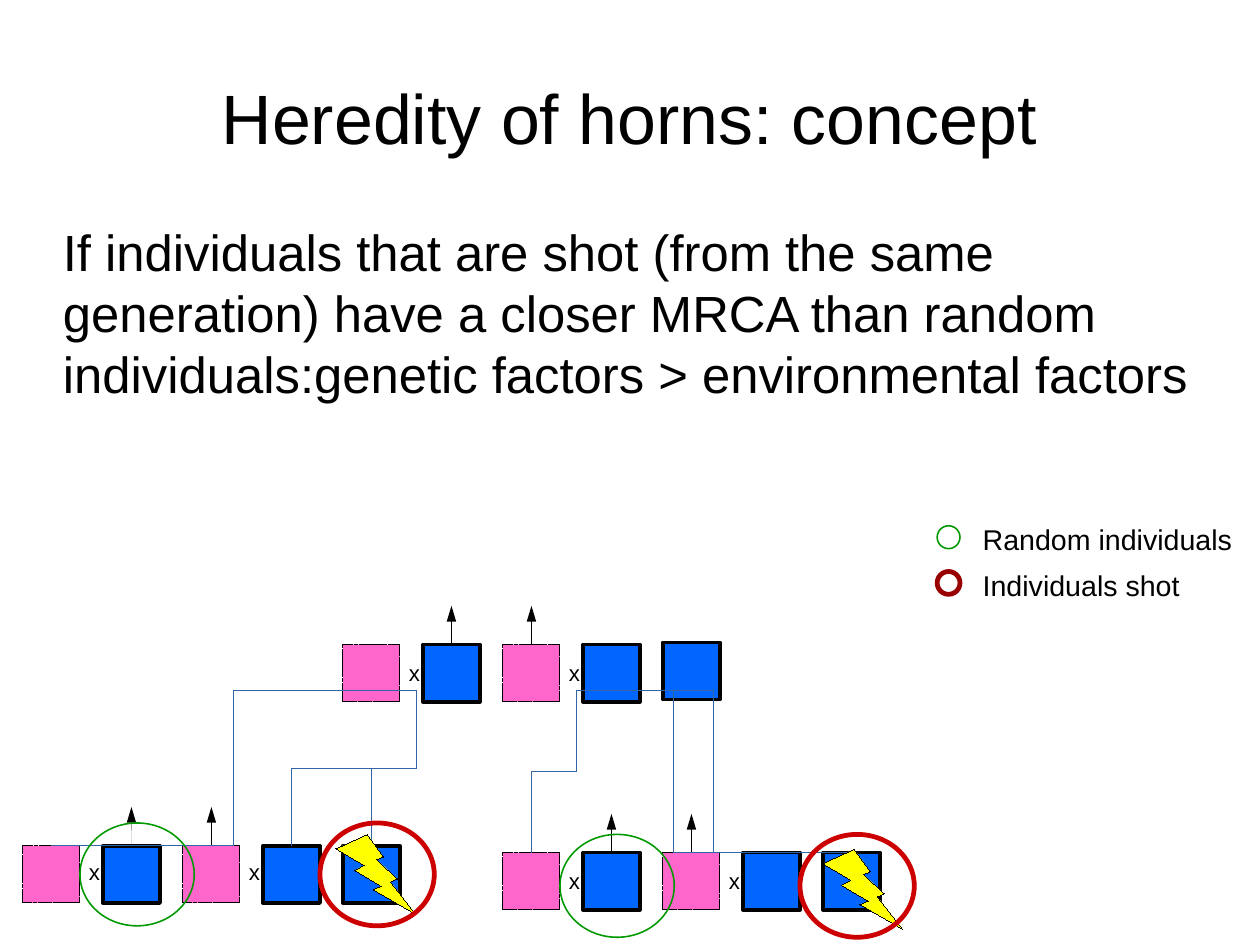
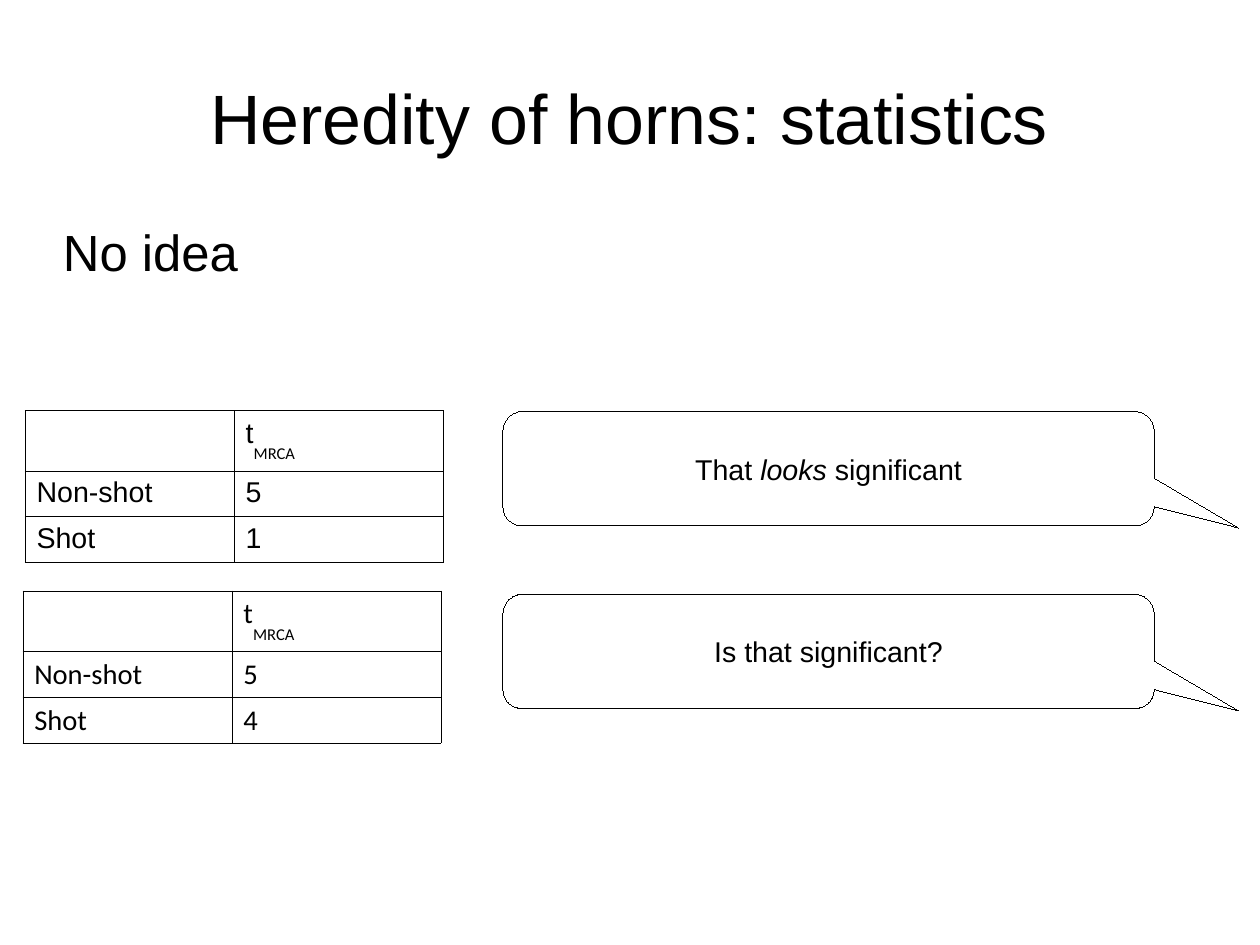
from lxml import etree
from pptx import Presentation, util as u
from pptx.dml.color import RGBColor
from pptx.enum import dml, shapes, text
from pptx.oxml.ns import qn


class Theme:
    """Colours, fonts and type sizes shared by all slides."""
    ink, paper = "000000", "FFFFFF"
    pink, blue, bolt = "FF66CC", "0066FF", "FFFF00"
    link, green, red, dark = "3465A4", "009900", "CC0000", "990000"
    font, alt = "Arial", "Calibri"
    head, body, small, tiny = 44, 32, 18, 14
    hair, ring, bold, heavy, grid = 0, 1, 2.3, 3, 0.45


KIND = shapes.MSO_SHAPE
LINK = shapes.MSO_CONNECTOR
MID = text.MSO_ANCHOR.MIDDLE
CENTER = text.PP_ALIGN.CENTER
SIZE, STEP = 0.5, 0.7


class Deck:
    def __init__(self):
        self.prs = Presentation()
        # Exact page size, about 28 by 21 cm
        self.prs.slide_width = u.Emu(10080625)
        self.prs.slide_height = u.Emu(7559675)

    def page(self, title, body):
        self.slide = self.prs.slides.add_slide(self.prs.slide_layouts[6])
        self.items = self.slide.shapes
        head = self.label(title, 0.55, 0.33, 9.92, 1.38, Theme.head, True, 0)
        head.vertical_anchor = MID
        head.paragraphs[0].alignment = CENTER
        self.label(body, 0.55, 1.93, 9.92, 4.8, Theme.body, True, 0)

    def style(self, run, size, font=Theme.font):
        run.font.size = u.Pt(size)
        run.font.name = font
        run.font.color.rgb = RGBColor.from_string(Theme.ink)

    def label(self, words, x, y, w, h, size, wrap=False, pad=None):
        box = self.items.add_textbox(*map(u.Inches, (x, y, w, h)))
        frame = box.text_frame
        frame.text = words
        frame.word_wrap = wrap
        if pad is not None:
            frame.margin_left = frame.margin_right = u.Inches(pad)
            frame.margin_top = frame.margin_bottom = u.Inches(pad)
        self.style(frame.paragraphs[0].runs[0], size)
        return frame

    def shape(self, kind, x, y, w, h, fill=None, line=Theme.ink, width=Theme.hair):
        item = self.items.add_shape(kind, *map(u.Inches, (x, y, w, h)))
        item.shadow.inherit = False
        if fill:
            item.fill.solid()
            item.fill.fore_color.rgb = RGBColor.from_string(fill)
        else:
            item.fill.background()
        self.stroke(item, line, width)
        return item

    def stroke(self, item, color, width):
        item.line.color.rgb = RGBColor.from_string(color)
        # A zero width must be written out to give a hairline
        item.line._get_or_add_ln().set("w", str(int(u.Pt(width))))

    def wire(self, kind, x1, y1, x2, y2, color):
        item = self.items.add_connector(kind, *map(u.Inches, (x1, y1, x2, y2)))
        self.stroke(item, color, Theme.hair)
        etree.SubElement(item._element.spPr, qn("a:effectLst"))
        return item

    def arrow(self, box, x, y, rise):
        item = self.wire(LINK.STRAIGHT, x, y, x, y - rise, Theme.ink)
        item.begin_connect(box, 0)
        tip = etree.SubElement(item.line._get_or_add_ln(), qn("a:tailEnd"))
        for key, val in (("type", "triangle"), ("w", "med"), ("len", "lg")):
            tip.set(key, val)

    def elbow(self, x1, y1, x2, y2, rise=False):
        """Bent line; with rise it leaves its start vertically."""
        if not rise:
            self.wire(LINK.ELBOW, x1, y1, x2, y2, Theme.link)
            return
        # Lay the line down by a quarter turn, then rotate it back
        cx, cy = (x1 + x2) / 2, (y1 + y2) / 2
        dx, dy = x1 - cx, y1 - cy
        item = self.wire(LINK.ELBOW, cx + dy, cy - dx, cx - dy, cy + dx, Theme.link)
        item._element.spPr.find(qn("a:xfrm")).set("rot", "5400000")

    def ring(self, x, y, w, h, color, width):
        self.shape(KIND.OVAL, x, y, w, h, None, color, width)

    def herd(self, x, y, drop, lift=0):
        """One generation: two pairs and a single male."""
        for i, sex in enumerate("FMFMM"):
            left = x + i * STEP
            top = y - lift if i == 4 else y
            if sex == "F":
                box = self.shape(KIND.RECTANGLE, left, top, SIZE, SIZE, Theme.pink)
                box.line.dash_style = dml.MSO_LINE.SQUARE_DOT
                self.label("x", left + 0.48, y + drop, 0.32, 0.33, Theme.tiny)
            else:
                box = self.shape(KIND.RECTANGLE, left, top, SIZE, SIZE,
                                 Theme.blue, width=Theme.bold)
            if i in (1, 2):
                self.arrow(box, left + SIZE / 2, top, 0.34)

    def table(self, x, y, rows, font):
        frame = self.items.add_table(len(rows), 2, *map(u.Inches, (x, y, 3.66, 1.33)))
        grid = frame.table
        grid.first_row = grid.horz_banding = False
        for col in grid.columns:
            col.width = u.Inches(1.83)
        for r, row in enumerate(rows):
            grid.rows[r].height = u.Inches(0.4 if r else 0.53)
            for c, words in enumerate(row):
                self.cell(grid.cell(r, c), words, font)

    def cell(self, cell, words, font):
        props = cell._tc.get_or_add_tcPr()
        for side in ("lnL", "lnR", "lnT", "lnB"):
            edge = etree.SubElement(props, qn("a:" + side))
            edge.set("w", str(int(u.Pt(Theme.grid))))
            fill = etree.SubElement(edge, qn("a:solidFill"))
            etree.SubElement(fill, qn("a:srgbClr")).set("val", Theme.ink)
        cell.fill.background()
        para = cell.text_frame.paragraphs[0]
        para.font.size = u.Pt(Theme.small)
        # An underscore marks the subscript
        base, _, sub = words.partition("_")
        para.text = base
        for run in para.runs:
            self.style(run, Theme.small, font)
        if sub:
            low = para.add_run()
            low.text = sub
            self.style(low, Theme.small, Theme.alt)
            low.font._element.set("baseline", "-58000")

    def callout(self, x, y, parts):
        item = self.shape(KIND.ROUNDED_RECTANGULAR_CALLOUT, x, y, 5.7, 1, Theme.paper)
        for i, val in enumerate((0.63, 0.52, 0.17)):
            item.adjustments[i] = val
        frame = item.text_frame
        frame.vertical_anchor = MID
        para = frame.paragraphs[0]
        para.alignment = CENTER
        for words, slant in parts:
            run = para.add_run()
            run.text = words
            self.style(run, Theme.small)
            run.font.italic = slant


def concept(deck):
    deck.page("Heredity of horns: concept",
              "If individuals that are shot (from the same generation) have a closer "
              "MRCA than random individuals:genetic factors > environmental factors")

    # Parents above, two groups of offspring below
    low, right, join = 7.4, 7.46, 6.04
    deck.herd(3, 5.64, 0.08, lift=0.02)
    deck.herd(0.2, low, 0.06)
    deck.herd(4.4, right, 0.08)

    # Descent lines
    for x, y, end, rise in ((0.45, low, 3.64, False), (2.55, low, 3.64, True),
                            (3.25, low, 3.64, True), (4.65, right, 5.04, True),
                            (6.75, right, 5.04, False), (7.45, right, 5.04, False)):
        deck.elbow(x, y, end, join, rise)

    # Shot and random individuals
    for x, y in ((2.94, 7.3), (7.2, 7.43)):
        deck.shape(KIND.LIGHTNING_BOLT, x, y, 0.7, 0.7, Theme.bolt)
    for x, y in ((0.7, 7.2), (4.9, 7.3)):
        deck.ring(x, y, 1, 0.9, Theme.green, Theme.ring)
        deck.ring(x + 2.1, y, 1, 0.9, Theme.red, Theme.heavy)

    # Legend
    for i, (words, color, width) in enumerate((
            ("Random individuals", Theme.green, Theme.ring),
            ("Individuals shot", Theme.dark, Theme.heavy))):
        y = 4.6 + i * 0.4
        deck.ring(8.2, y, 0.2, 0.2, color, width)
        deck.label(words, 8.5, y - 0.08, 2.4, 0.4, Theme.small)


def stats(deck):
    deck.page("Heredity of horns: statistics", "No idea")

    # Tables with their comments
    for x, y, shot, font, top, parts in (
            (0.22, 3.59, "1", Theme.font, 3.6,
             (("That ", False), ("looks", True), (" significant", False))),
            (0.2, 5.17, "4", Theme.alt, 5.2, (("Is that significant?", False),))):
        rows = (("", "t_MRCA"), ("Non-shot", "5"), ("Shot", shot))
        deck.table(x, y, rows, font)
        deck.callout(4.4, top, parts)


def main():
    deck = Deck()
    concept(deck)
    stats(deck)
    deck.prs.save("out.pptx")


if __name__ == "__main__":
    main()
